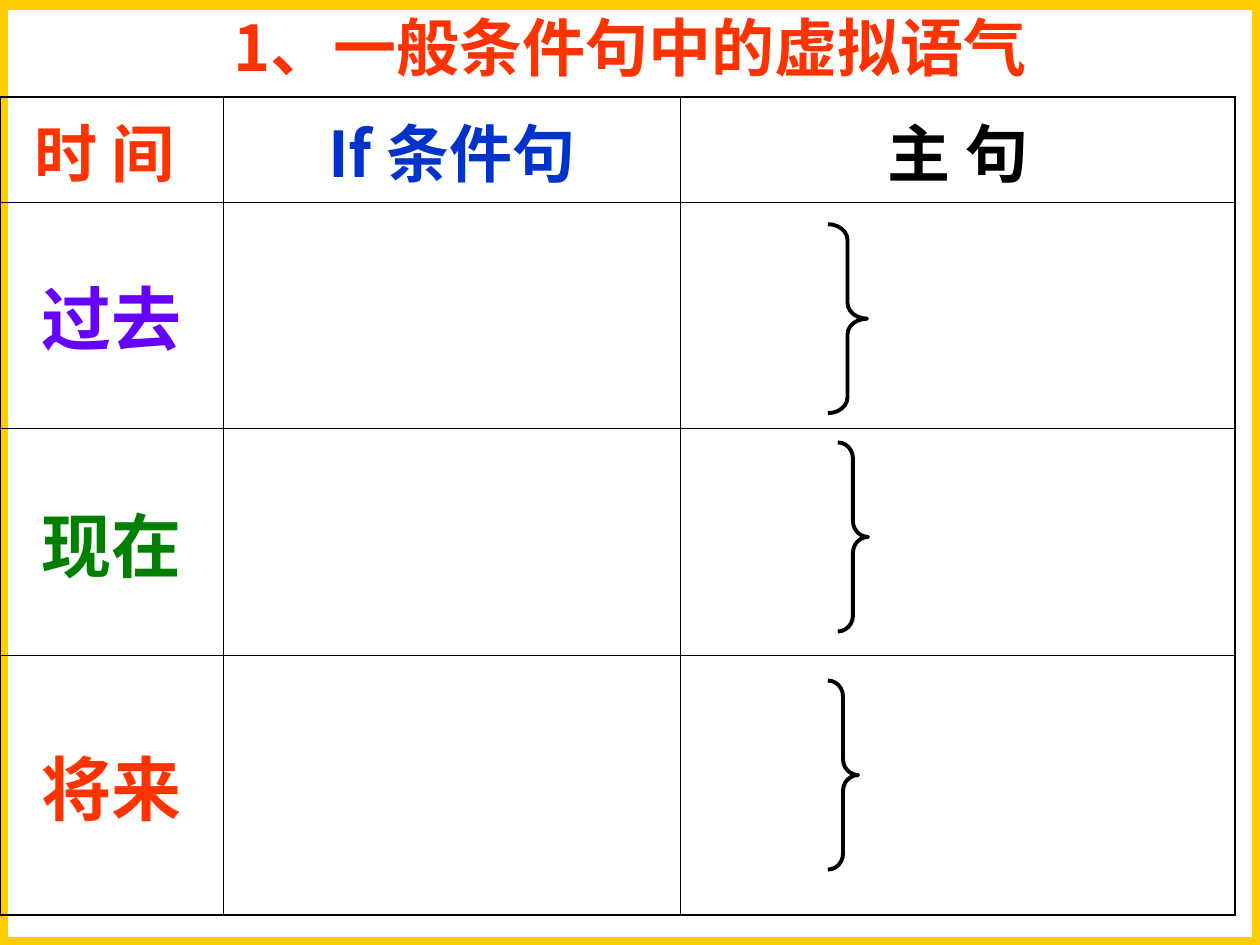
from dataclasses import dataclass

from lxml import etree
from pptx import Presentation
from pptx.dml.color import RGBColor
from pptx.enum.shapes import MSO_SHAPE
from pptx.enum.text import MSO_ANCHOR, MSO_AUTO_SIZE, PP_ALIGN
from pptx.oxml.ns import qn
from pptx.util import Cm, Pt

CENTER = PP_ALIGN.CENTER
TOP, MIDDLE = MSO_ANCHOR.TOP, MSO_ANCHOR.MIDDLE
NO_AUTOFIT = MSO_AUTO_SIZE.NONE
RIGHT_BRACE = MSO_SHAPE.RIGHT_BRACE
TITLE_ONLY = 5


@dataclass(frozen=True)
class Theme:
    font: str = "Noto Sans CJK SC"
    red: str = "FF3300"
    blue: str = "0033CC"
    violet: str = "6600FF"
    green: str = "008000"
    black: str = "000000"
    white: str = "FFFFFF"
    gold: str = "FFCC00"
    heading_size: float = 36
    tense_size: float = 40
    frame_line: float = 9
    brace_line: float = 2.25
    outer_line: float = 1.08
    inner_line: float = 0.45


THEME = Theme()

SLIDE_SIZE = (25.4, 19.05)
FRAME_BOX = (0, 0.05, 25.4, 19)
TABLE_ORIGIN = (0, 1.96)
COLUMN_WIDTHS = (4.5, 9.22, 11.18)
ROW_HEIGHTS = (2.11, 4.57, 4.57, 5.23)

HEADINGS = (("时 间 ", THEME.red), ("If 条件句", THEME.blue), ("主 句", THEME.black))
TENSES = (("过去", THEME.violet), ("现在", THEME.green), ("将来", THEME.red))

# Left and top within the main-clause cell, then width
BRACES = ((2.97, 0.45, 0.79), (3.17, 0.28, 0.61), (2.97, 0.51, 0.61))
BRACE_HEIGHT = 3.81
BRACE_CURVE = 0.32


def write(text_frame, text, size, color):
    """Fill the frame with one bold, centred paragraph."""
    text_frame.text = text
    para = text_frame.paragraphs[0]
    para.alignment = CENTER
    for span in para.runs:
        span.font.size = Pt(size)
        span.font.bold = True
        span.font.color.rgb = RGBColor.from_string(color)
        span.font.name = THEME.font
        east_asian = etree.SubElement(span.font._element, qn("a:ea"))
        east_asian.set("typeface", THEME.font)


def add_framed_title(page, box, text):
    left, top, width, height = map(Cm, box)
    title = page.shapes.title
    title.left, title.top, title.width, title.height = left, top, width, height
    title.fill.solid()
    title.fill.fore_color.rgb = RGBColor.from_string(THEME.white)
    color = title.fill._xPr.find(".//" + qn("a:srgbClr"))
    etree.SubElement(color, qn("a:alpha")).set("val", "76000")
    title.line.color.rgb = RGBColor.from_string(THEME.gold)
    title.line.width = Pt(THEME.frame_line)
    frame = title.text_frame
    frame.auto_size = NO_AUTOFIT
    frame.vertical_anchor = TOP
    write(frame, text, THEME.heading_size, THEME.red)


def set_borders(cell, outer_sides):
    properties = cell._tc.get_or_add_tcPr()
    for position, side in enumerate("LRTB"):
        width = THEME.outer_line if side in outer_sides else THEME.inner_line
        line = etree.Element(qn(f"a:ln{side}"), w=str(Pt(width)))
        fill = etree.SubElement(line, qn("a:solidFill"))
        etree.SubElement(fill, qn("a:srgbClr"), val=THEME.black)
        properties.insert(position, line)


def add_tense_table(page, origin):
    rows, columns = len(ROW_HEIGHTS), len(COLUMN_WIDTHS)
    left, top = origin
    table = page.shapes.add_table(
        rows, columns, Cm(left), Cm(top),
        Cm(sum(COLUMN_WIDTHS)), Cm(sum(ROW_HEIGHTS)),
    ).table
    table.first_row = table.horz_banding = False
    for column, width in zip(table.columns, COLUMN_WIDTHS):
        column.width = Cm(width)
    for row, height in zip(table.rows, ROW_HEIGHTS):
        row.height = Cm(height)

    for r in range(rows):
        for c in range(columns):
            cell = table.cell(r, c)
            cell.fill.background()
            cell.vertical_anchor = MIDDLE
            edges = {"L": c == 0, "R": c == columns - 1,
                     "T": r == 0, "B": r == rows - 1}
            set_borders(cell, [side for side, outer in edges.items() if outer])

    for c, (text, color) in enumerate(HEADINGS):
        write(table.cell(0, c).text_frame, text, THEME.heading_size, color)
    for r, (text, color) in enumerate(TENSES, start=1):
        write(table.cell(r, 0).text_frame, text, THEME.tense_size, color)


def add_braces(page, origin):
    """Place one brace in each main-clause cell of the table at origin."""
    cell_left = origin[0] + sum(COLUMN_WIDTHS[:-1])
    for r, (left, top, width) in enumerate(BRACES, start=1):
        cell_top = origin[1] + sum(ROW_HEIGHTS[:r])
        brace = page.shapes.add_shape(
            RIGHT_BRACE, Cm(cell_left + left), Cm(cell_top + top),
            Cm(width), Cm(BRACE_HEIGHT),
        )
        brace.adjustments[0] = BRACE_CURVE / width
        brace.shadow.inherit = False
        brace.fill.background()
        brace.line.color.rgb = RGBColor.from_string(THEME.black)
        brace.line.width = Pt(THEME.brace_line)


def main():
    deck = Presentation()
    deck.slide_width, deck.slide_height = map(Cm, SLIDE_SIZE)
    page = deck.slides.add_slide(deck.slide_layouts[TITLE_ONLY])
    add_framed_title(page, FRAME_BOX, "1、一般条件句中的虚拟语气")
    add_tense_table(page, TABLE_ORIGIN)
    add_braces(page, TABLE_ORIGIN)
    deck.save("out.pptx")


if __name__ == "__main__":
    main()
